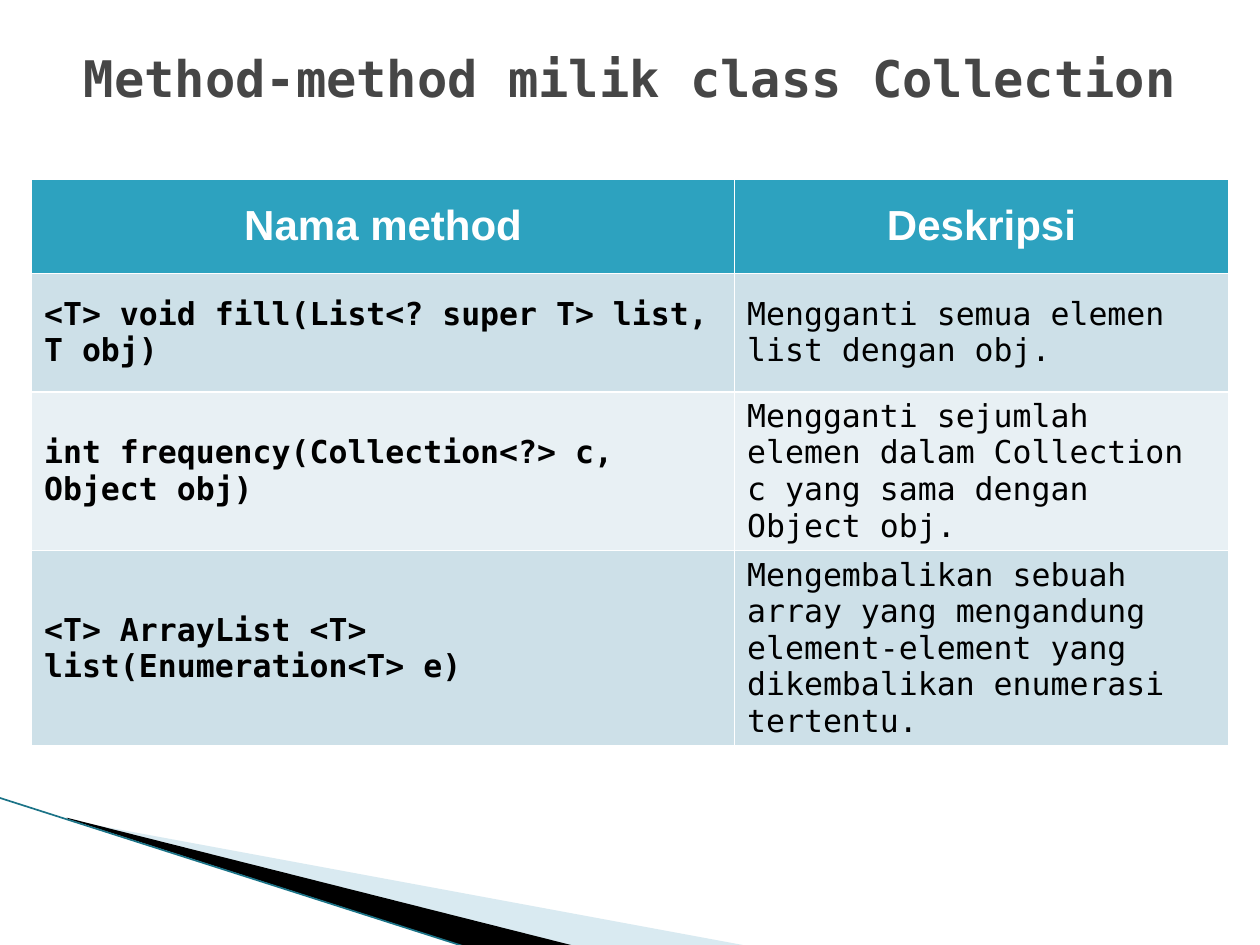
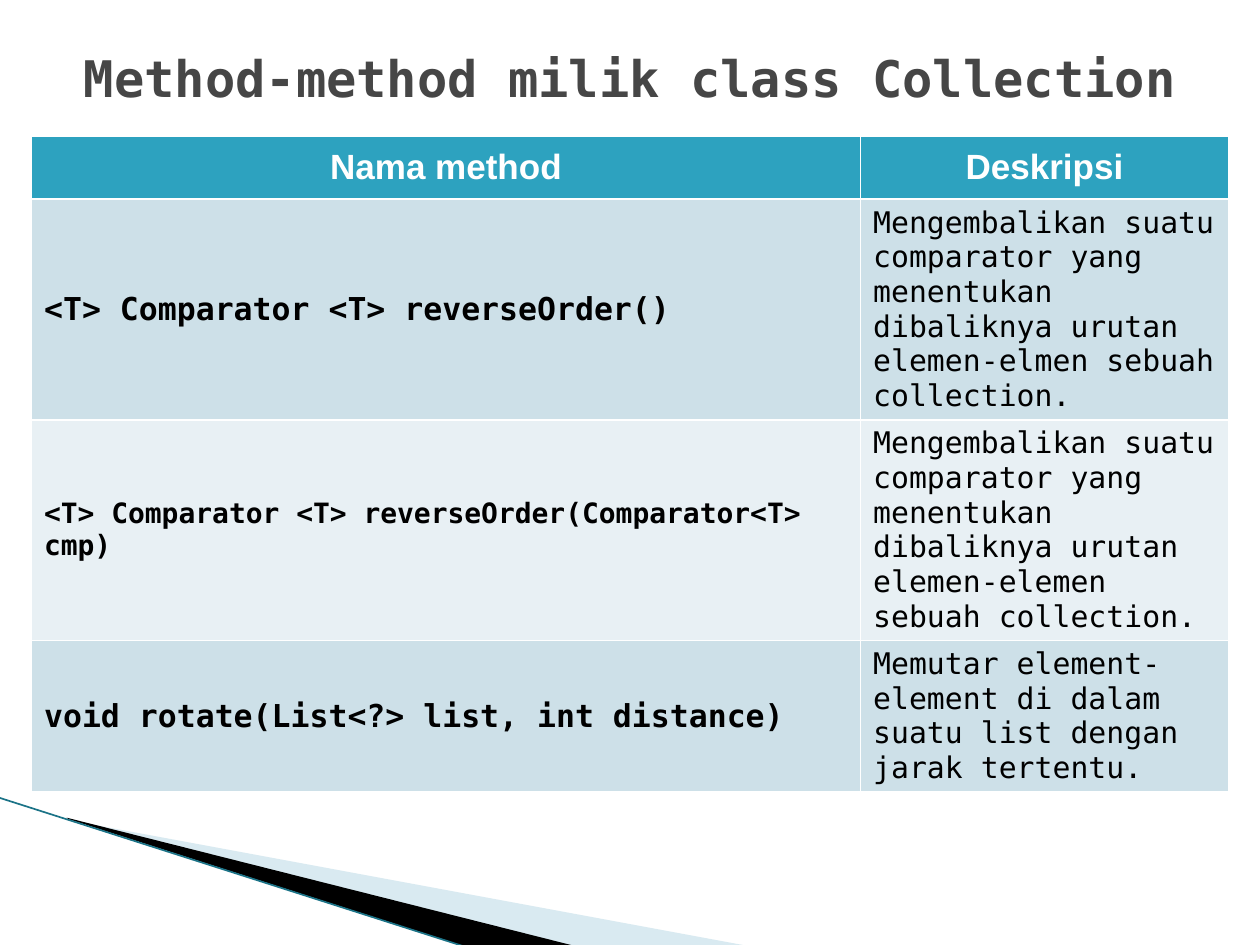
from dataclasses import dataclass

from lxml import etree
from pptx import Presentation
from pptx.dml.color import RGBColor
from pptx.enum import shapes, text
from pptx.oxml import ns
from pptx.util import Inches, Pt

COLORS = {
    "title": "464646",
    "header": "2DA2BF",
    "header_text": "FFFFFF",
    "body_text": "000000",
    "odd_row": "CDE0E8",
    "even_row": "E8F0F4",
    "pale_band": "A0CBDC",
    "dark_band": "000000",
    "edge": "1B7387",
}
CODE_FONT = "DejaVu Sans Mono"
HEADER_FONT = "Arial"
TITLE = "Method-method milik class Collection"
HEADINGS = ("Nama method", "Deskripsi")
TABLE_LEFT = 0.25
ROW_HEIGHT = 0.94


@dataclass
class Method:
    signature: str
    description: str
    signature_size: float = 18


@dataclass
class MethodTable:
    top: float
    widths: tuple[float, float]
    header_height: float
    header_size: float
    description_size: float
    methods: list[Method]


@dataclass
class Band:
    points: list[tuple[float, float]]
    color: str
    opacity: int = 100


BANDS = [
    Band([(0.55, 6.51), (5.95, 7.51), (4.56, 7.51), (0.55, 6.5)], "pale_band", 40),
    Band([(0.53, 6.49), (4.57, 7.51), (3.72, 7.52), (0.54, 6.5)], "dark_band"),
]

METHOD_TABLES = [
    MethodTable(1.42, (5.58, 3.92), 0.75, 24, 18, [
        Method("<T> void fill(List<? super T> list, T obj)",
               "Mengganti semua elemen list dengan obj."),
        Method("int frequency(Collection<?> c, Object obj)",
               "Mengganti sejumlah elemen dalam Collection c yang sama "
               "dengan Object obj."),
        Method("<T> ArrayList <T> list(Enumeration<T> e)",
               "Mengembalikan sebuah array yang mengandung element-element "
               "yang dikembalikan enumerasi tertentu."),
    ]),
    MethodTable(1.08, (6.58, 2.92), 0.5, 20, 17, [
        Method("<T> Comparator <T> reverseOrder()",
               "Mengembalikan suatu comparator yang menentukan dibaliknya "
               "urutan elemen-elmen sebuah collection."),
        Method("<T> Comparator <T> reverseOrder(Comparator<T> cmp)",
               "Mengembalikan suatu comparator yang menentukan dibaliknya "
               "urutan elemen-elemen sebuah collection.", 16),
        Method("void rotate(List<?> list, int distance)",
               "Memutar element-element di dalam suatu list dengan jarak "
               "tertentu."),
    ]),
]


def rgb(name: str) -> RGBColor:
    return RGBColor.from_string(COLORS[name])


def style(paragraph, font_name: str, size: float, color: str, bold: bool,
          centered: bool = False) -> None:
    font = paragraph.font
    font.name, font.size, font.bold = font_name, Pt(size), bold
    font.color.rgb = rgb(color)
    paragraph.alignment = text.PP_ALIGN.CENTER if centered else text.PP_ALIGN.LEFT


def draw_band(slide, band: Band) -> None:
    start, *rest = [(Inches(x), Inches(y)) for x, y in band.points]
    builder = slide.shapes.build_freeform(*start)
    builder.add_line_segments(rest, close=True)
    wedge = builder.convert_to_shape()
    wedge.shadow.inherit = False
    wedge.fill.solid()
    wedge.fill.fore_color.rgb = rgb(band.color)
    wedge.line.fill.background()
    if band.opacity < 100:
        color = wedge.fill._xPr.find(".//" + ns.qn("a:srgbClr"))
        etree.SubElement(color, ns.qn("a:alpha"), val=str(band.opacity * 1000))


def draw_backdrop(slide) -> None:
    for band in BANDS:
        draw_band(slide, band)
    edge = slide.shapes.add_connector(
        shapes.MSO_CONNECTOR.STRAIGHT,
        Inches(-0.01), Inches(6.33), Inches(3.71), Inches(7.52))
    edge.line.color.rgb = rgb("edge")
    edge.line.width = Pt(0.95)
    etree.SubElement(edge._element.spPr, ns.qn("a:effectLst"))


def draw_title(slide) -> None:
    title = slide.shapes.add_textbox(Inches(0.5), Inches(0.3), Inches(9), Inches(0.62))
    frame = title.text_frame
    frame.word_wrap = True
    frame.vertical_anchor = text.MSO_ANCHOR.MIDDLE
    frame.text = TITLE
    style(frame.paragraphs[0], CODE_FONT, 28.8, "title", bold=True, centered=True)


def fill_cell(cell, content: str, fill: str):
    cell.text = content
    cell.vertical_anchor = text.MSO_ANCHOR.MIDDLE
    cell.fill.solid()
    cell.fill.fore_color.rgb = rgb(fill)
    return cell.text_frame.paragraphs[0]


def draw_methods(slide, listing: MethodTable) -> None:
    heights = [listing.header_height] + [ROW_HEIGHT] * len(listing.methods)
    # The default table style supplies the white rules
    grid = slide.shapes.add_table(
        len(heights), len(HEADINGS), Inches(TABLE_LEFT), Inches(listing.top),
        Inches(sum(listing.widths)), Inches(sum(heights))).table
    for column, width in zip(grid.columns, listing.widths):
        column.width = Inches(width)
    for row, height in zip(grid.rows, heights):
        row.height = Inches(height)

    # Header row
    for column, heading in enumerate(HEADINGS):
        paragraph = fill_cell(grid.cell(0, column), heading, "header")
        style(paragraph, HEADER_FONT, listing.header_size, "header_text",
              bold=True, centered=True)

    # One row per method
    for row, method in enumerate(listing.methods, start=1):
        fill = "odd_row" if row % 2 else "even_row"
        signature = fill_cell(grid.cell(row, 0), method.signature, fill)
        style(signature, CODE_FONT, method.signature_size, "body_text", bold=True)
        description = fill_cell(grid.cell(row, 1), method.description, fill)
        style(description, CODE_FONT, listing.description_size, "body_text", bold=False)


def main() -> None:
    deck = Presentation()
    deck.slide_width, deck.slide_height = Inches(10), Inches(7.5)
    for listing in METHOD_TABLES:
        slide = deck.slides.add_slide(deck.slide_layouts[6])
        draw_backdrop(slide)
        draw_methods(slide, listing)
        draw_title(slide)
    deck.save("out.pptx")


if __name__ == "__main__":
    main()
